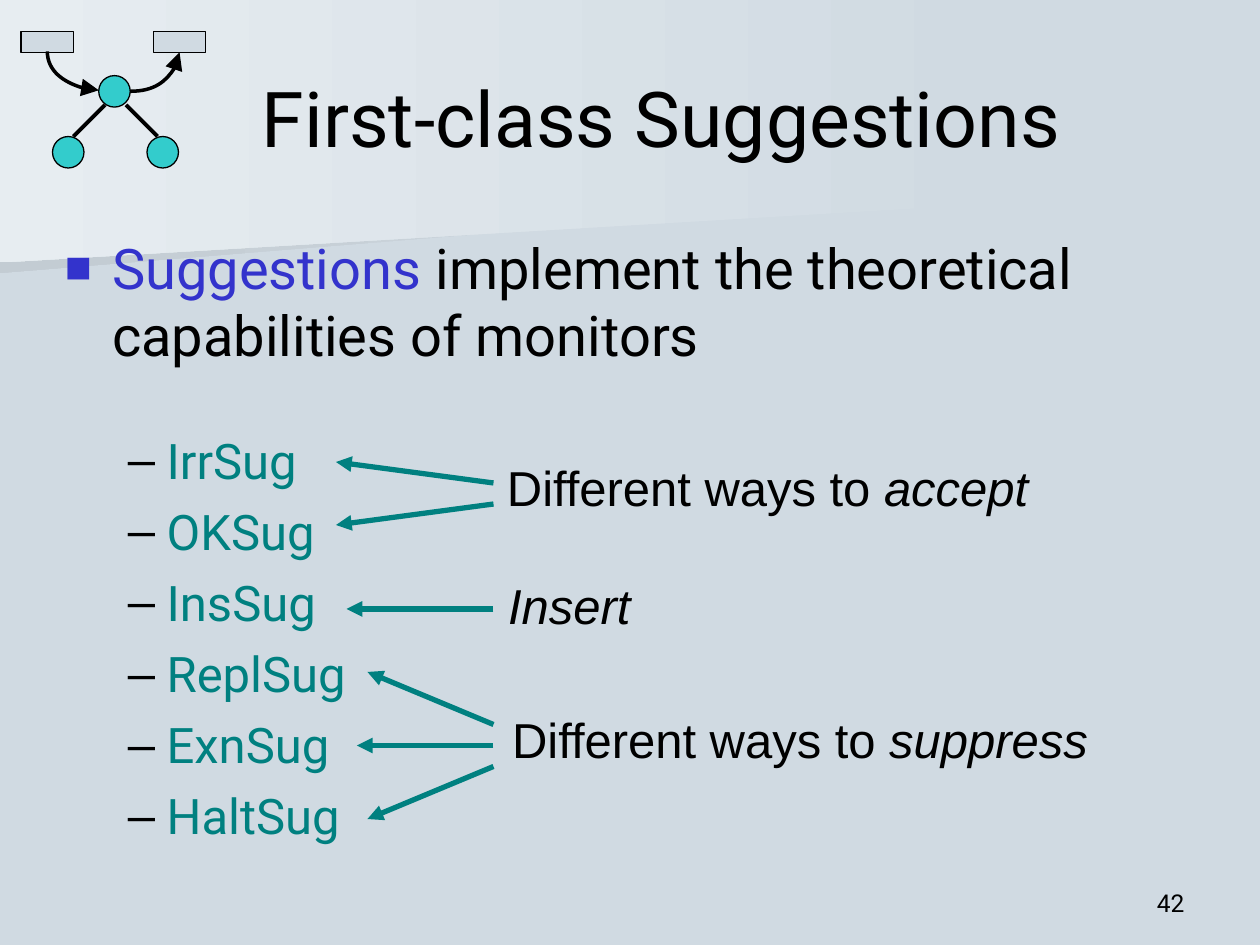
"""Build the First-class Suggestions slide."""
from dataclasses import dataclass
from typing import Optional

from lxml.etree import SubElement
from pptx import Presentation
from pptx.dml.color import RGBColor
from pptx.enum.shapes import MSO_CONNECTOR, MSO_SHAPE
from pptx.enum.text import MSO_ANCHOR, MSO_AUTO_SIZE, PP_ALIGN
from pptx.oxml.ns import qn
from pptx.util import Emu, Pt

PX = 7620


@dataclass(frozen=True)
class Theme:
    background: str = "D0DAE2"
    shade: str = "C3CCD3"
    glow: str = "E7EDF1"
    node: str = "33CCCC"
    ink: str = "000000"
    key: str = "3333CC"
    accent: str = "008080"
    font: str = "Roboto"
    label_font: str = "Arial"
    title_size: int = 44
    lead_size: int = 32
    item_size: int = 28
    number_size: int = 14


THEME = Theme()


@dataclass(frozen=True)
class Box:
    left: int
    top: int
    width: int
    height: int

    def emu(self) -> list:
        return [Emu(value * PX) for value in (self.left, self.top, self.width, self.height)]


@dataclass(frozen=True)
class Run:
    text: str
    size: int
    color: str = THEME.ink
    font: str = THEME.font
    italic: bool = False


@dataclass(frozen=True)
class Bullet:
    mark: str
    color: str
    percent: int
    margin: int
    hanging: int


@dataclass(frozen=True)
class Line:
    begin: tuple
    end: tuple
    color: str = THEME.ink
    weight: float = 2.25
    arrow: Optional[str] = None
    curved: bool = False
    rotation: int = 0


@dataclass(frozen=True)
class Label:
    box: Box
    plain: str
    emphasis: str


BANDS = (
    (((934, 184), (0, 260), (0, 121), (935, 121), (934, 154)), THEME.shade),
    (((950, 194), (0, 250), (0, 0), (950, 0)), THEME.glow),
)
NODES = [Box(left, top, 30, 30) for left, top in ((50, 130), (140, 130), (94, 72))]
FRAMES = [Box(left, 30, 50, 20) for left in (20, 146)]
TREE_LINES = (
    Line((70, 130), (100, 100)),
    Line((120, 100), (150, 130)),
    Line((88, 43), (51, 92), weight=2, arrow="lg", curved=True, rotation=270),
    Line((124, 87), (171, 50), weight=2, arrow="lg", curved=True),
)
POINTERS = [
    Line((470, start), end, THEME.accent, 3, arrow="med")
    for start, end in (
        (460, (320, 440)), (480, (320, 500)), (580, (330, 580)),
        (690, (350, 640)), (710, (340, 710)), (730, (350, 780)),
    )
]
LABELS = (
    Label(Box(471, 430, 526, 68), "Different ways to ", "accept"),
    Label(Box(472, 542, 150, 68), "", "Insert"),
    Label(Box(476, 670, 578, 68), "Different ways to ", "suppress"),
)
SUGGESTIONS = ("IrrSug", "OKSug", "InsSug", "ReplSug", "ExnSug", "HaltSug")
LEAD_BULLET = Bullet("■", THEME.key, 80, 45, 45)
ITEM_BULLET = Bullet("–", THEME.ink, 100, 97, 37)


def rgb(color: str) -> RGBColor:
    return RGBColor.from_string(color)


def add_band(slide, points: tuple, edge_color: str) -> None:
    builder = slide.shapes.build_freeform(*points[0], scale=PX)
    builder.add_line_segments(points[1:], close=True)
    shape = builder.convert_to_shape()
    shape.shadow.inherit = False
    shape.line.fill.background()
    shape.fill.gradient()
    shape.fill.gradient_angle = 180
    for stop, color, position in zip(shape.fill.gradient_stops, (THEME.background, edge_color), (0, 1)):
        stop.color.rgb = rgb(color)
        stop.position = position


def add_outlined(slide, preset: MSO_SHAPE, box: Box, color: str) -> None:
    shape = slide.shapes.add_shape(preset, *box.emu())
    shape.shadow.inherit = False
    shape.fill.solid()
    shape.fill.fore_color.rgb = rgb(color)
    shape.line.color.rgb = rgb(THEME.ink)
    shape.line.width = Pt(0.75)


def add_line(slide, line: Line) -> None:
    kind = MSO_CONNECTOR.CURVE if line.curved else MSO_CONNECTOR.STRAIGHT
    ends = [Emu(value * PX) for value in line.begin + line.end]
    connector = slide.shapes.add_connector(kind, *ends)
    connector.line.color.rgb = rgb(line.color)
    connector.line.width = Pt(line.weight)
    properties = connector._element.spPr
    if line.curved:
        properties.find(qn("a:prstGeom")).set("prst", "curvedConnector2")
    if line.rotation:
        properties.find(qn("a:xfrm")).set("rot", str(line.rotation * 60000))
    if line.arrow:
        outline = properties.find(qn("a:ln"))
        SubElement(outline, qn("a:tailEnd"), type="triangle", w=line.arrow, len=line.arrow)
    SubElement(properties, qn("a:effectLst"))


def add_text_frame(slide, box: Box, anchor: MSO_ANCHOR = MSO_ANCHOR.TOP, wrap: bool = True):
    frame = slide.shapes.add_textbox(*box.emu()).text_frame
    frame.word_wrap = wrap
    frame.auto_size = MSO_AUTO_SIZE.NONE if wrap else MSO_AUTO_SIZE.SHAPE_TO_FIT_TEXT
    frame.vertical_anchor = anchor
    return frame


def add_runs(paragraph, runs: list) -> None:
    for item in runs:
        run = paragraph.add_run()
        run.text = item.text
        run.font.size = Pt(item.size)
        run.font.name = item.font
        run.font.italic = item.italic
        run.font.color.rgb = rgb(item.color)


def set_bullet(paragraph, bullet: Bullet, space_before: Optional[int] = None) -> None:
    properties = paragraph._p.get_or_add_pPr()
    properties.set("marL", str(bullet.margin * PX))
    properties.set("indent", str(-bullet.hanging * PX))
    color = SubElement(properties, qn("a:buClr"))
    SubElement(color, qn("a:srgbClr"), val=bullet.color)
    SubElement(properties, qn("a:buSzPct"), val=str(bullet.percent * 1000))
    SubElement(properties, qn("a:buFont"), typeface=THEME.label_font)
    SubElement(properties, qn("a:buChar"), char=bullet.mark)
    if space_before is not None:
        paragraph.space_before = Pt(space_before)


def add_body(slide) -> None:
    frame = add_text_frame(slide, Box(50, 216, 1080, 644))
    lead = frame.paragraphs[0]
    set_bullet(lead, LEAD_BULLET)
    add_runs(lead, [
        Run("Suggestions", THEME.lead_size, THEME.key),
        Run(" implement the theoretical capabilities of monitors", THEME.lead_size),
    ])
    for index, name in enumerate(SUGGESTIONS):
        paragraph = frame.add_paragraph()
        paragraph.level = 1
        set_bullet(paragraph, ITEM_BULLET, 7 if index else 36)
        add_runs(paragraph, [Run(name, THEME.item_size, THEME.accent)])


def add_label(slide, label: Label) -> None:
    paragraph = add_text_frame(slide, label.box, wrap=False).paragraphs[0]
    parts = ((label.plain, False), (label.emphasis, True))
    add_runs(paragraph, [
        Run(text, THEME.item_size, font=THEME.label_font, italic=italic) for text, italic in parts if text
    ])


def add_aligned(slide, box: Box, run: Run, anchor: MSO_ANCHOR, alignment: PP_ALIGN) -> None:
    paragraph = add_text_frame(slide, box, anchor).paragraphs[0]
    paragraph.alignment = alignment
    add_runs(paragraph, [run])


def main() -> None:
    presentation = Presentation()
    presentation.slide_width, presentation.slide_height = Emu(1200 * PX), Emu(900 * PX)
    slide = presentation.slides.add_slide(presentation.slide_layouts[6])
    slide.background.fill.solid()
    slide.background.fill.fore_color.rgb = rgb(THEME.background)
    for points, color in BANDS:
        add_band(slide, points, color)
    for box in NODES:
        add_outlined(slide, MSO_SHAPE.OVAL, box, THEME.node)
    for box in FRAMES:
        add_outlined(slide, MSO_SHAPE.RECTANGLE, box, THEME.background)
    for line in TREE_LINES:
        add_line(slide, line)
    title = Run("First-class Suggestions", THEME.title_size)
    add_aligned(slide, Box(170, 36, 920, 150), title, MSO_ANCHOR.MIDDLE, PP_ALIGN.CENTER)
    add_body(slide)
    for label in LABELS:
        add_label(slide, label)
    for line in POINTERS:
        add_line(slide, line)
    number = Run("42", THEME.number_size)
    add_aligned(slide, Box(860, 820, 280, 60), number, MSO_ANCHOR.BOTTOM, PP_ALIGN.RIGHT)
    presentation.save("out.pptx")


if __name__ == "__main__":
    main()
